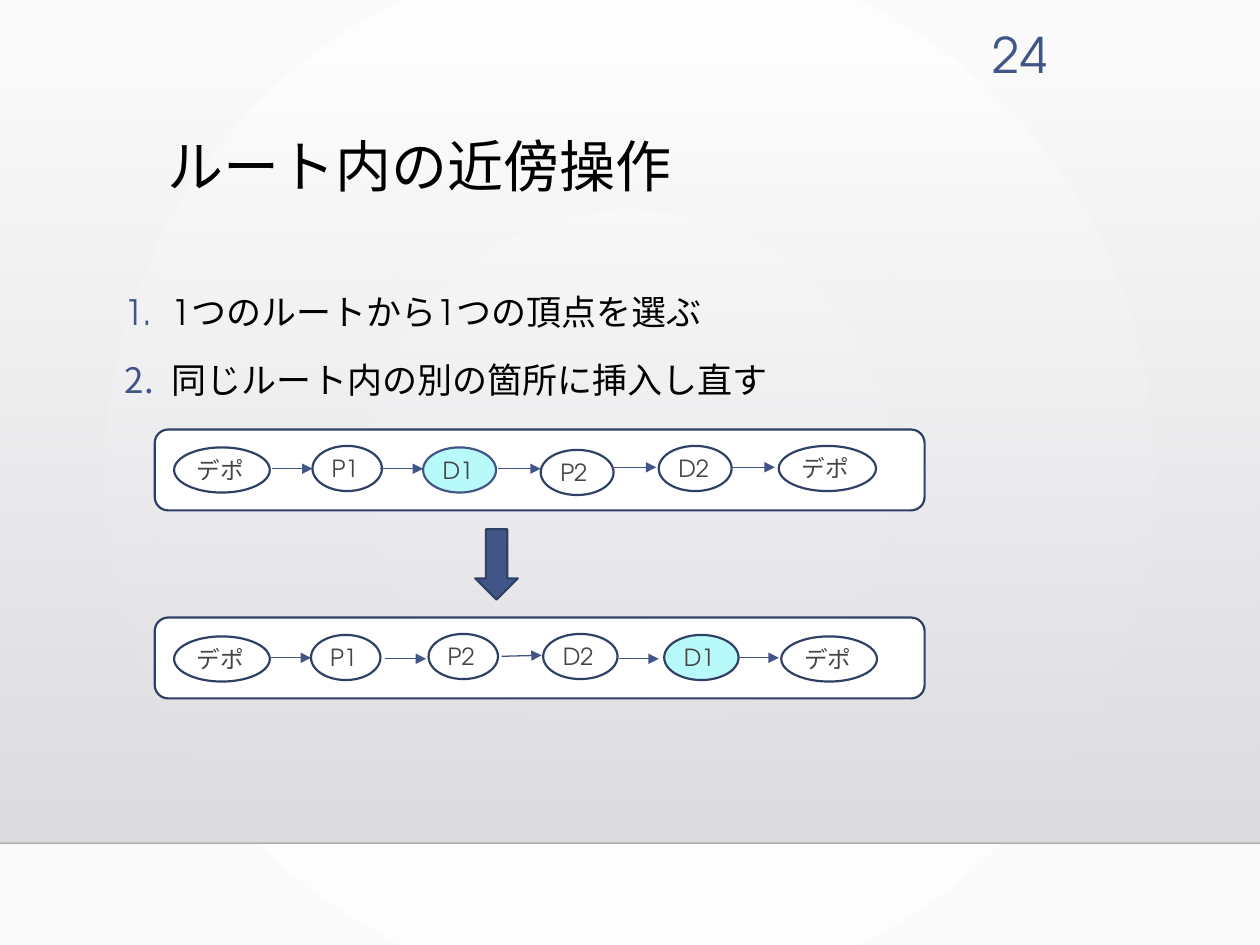
from dataclasses import dataclass

from lxml.etree import SubElement
from pptx import Presentation
from pptx.dml.color import RGBColor
from pptx.enum.shapes import MSO_CONNECTOR as Connector, MSO_SHAPE as Shape
from pptx.enum.text import MSO_ANCHOR as Anchor, MSO_AUTO_SIZE as AutoSize, PP_ALIGN as Align
from pptx.oxml.ns import qn
from pptx.util import Cm, Pt

FONT = "TeX Gyre Adventor"
COLORS = {
    "black": "000000",
    "text": "454545",
    "accent": "415588",
    "outline": "303F65",
    "white": "FFFFFF",
    "moved": "B8FAFA",
    "back_edge": "FAFAFA",
    "band_top": "DCDCE0",
    "band_bottom": "DEDEE2",
    "rule": "000001",
}
NODE_HEIGHT = 0.91


@dataclass
class Node:
    label: str
    left: float
    top: float
    width: float
    fill: str = "white"
    outline: str = "outline"


@dataclass
class Arrow:
    start: float
    end: float
    start_y: float
    end_y: float


@dataclass
class Route:
    top: float
    nodes: list[Node]
    arrows: list[Arrow]


ROUTES = [
    Route(
        8.66,
        [
            Node("デポ", 3.51, 9.02, 1.93),
            Node("P1", 6.3, 8.99, 1.4),
            Node("D1", 8.53, 9.02, 1.47, "moved", "accent"),
            Node("P2", 10.9, 9.07, 1.47),
            Node("D2", 13.28, 8.99, 1.47),
            Node("デポ", 15.7, 8.99, 1.96),
        ],
        [
            Arrow(5.49, 6.3, 9.45, 9.45),
            Arrow(7.67, 8.53, 9.45, 9.45),
            Arrow(10.03, 10.9, 9.45, 9.45),
            Arrow(12.34, 13.23, 9.42, 9.42),
            Arrow(14.73, 15.62, 9.42, 9.42),
        ],
    ),
    Route(
        12.45,
        [
            Node("デポ", 3.51, 12.83, 1.93),
            Node("P1", 6.27, 12.8, 1.4),
            Node("P2", 8.64, 12.78, 1.4),
            Node("D2", 10.95, 12.78, 1.5),
            Node("D1", 13.39, 12.8, 1.5, "moved"),
            Node("デポ", 15.75, 12.83, 1.93),
        ],
        [
            Arrow(5.46, 6.27, 13.26, 13.26),
            Arrow(7.77, 8.59, 13.28, 13.28),
            Arrow(10.11, 10.92, 13.23, 13.21),
            Arrow(12.47, 13.28, 13.28, 13.28),
            Arrow(14.88, 15.7, 13.26, 13.26),
        ],
    ),
]


def color(name: str) -> RGBColor:
    return RGBColor.from_string(COLORS[name])


def place(box, left: float, top: float, width: float, height: float) -> None:
    box.left, box.top, box.width, box.height = Cm(left), Cm(top), Cm(width), Cm(height)


def format_runs(para, size: float, name: str) -> None:
    for span in para.runs:
        span.font.name = FONT
        span.font.size = Pt(size)
        span.font.color.rgb = color(name)


def set_alpha(parent, percent: int) -> None:
    tint = next(parent.iter(qn("a:srgbClr")))
    SubElement(tint, qn("a:alpha")).set("val", str(percent * 1000))


def set_gradient(fill, first: str, last: str) -> None:
    fill.gradient()
    for stop, name in zip(fill.gradient_stops, (first, last)):
        stop.color.rgb = color(name)
    fill.gradient_stops[0].position = 0
    fill.gradient_stops[1].position = 1


def add_box(page, kind, left: float, top: float, width: float, height: float,
            fill: str, outline: str = "outline"):
    box = page.shapes.add_shape(kind, Cm(left), Cm(top), Cm(width), Cm(height))
    box.shadow.inherit = False
    box.fill.solid()
    box.fill.fore_color.rgb = color(fill)
    box.line.color.rgb = color(outline)
    box.line.width = Pt(1.25)
    return box


def add_line(page, arrow: Arrow, name: str, width: float):
    line = page.shapes.add_connector(Connector.STRAIGHT, Cm(arrow.start), Cm(arrow.start_y),
                                     Cm(arrow.end), Cm(arrow.end_y))
    line.line.color.rgb = color(name)
    line.line.width = Pt(width)
    SubElement(line.element.spPr, qn("a:effectLst"))
    return line


def add_node(page, node: Node) -> None:
    box = add_box(page, Shape.OVAL, node.left, node.top, node.width, NODE_HEIGHT,
                  node.fill, node.outline)
    frame = box.text_frame
    frame.text = node.label
    frame.vertical_anchor = Anchor.MIDDLE
    frame.margin_left = frame.margin_right = Cm(0.18)
    frame.margin_top = frame.margin_bottom = Cm(0.1)
    para = frame.paragraphs[0]
    para.alignment = Align.LEFT
    format_runs(para, 13.5, "text")


def add_route(page, route: Route) -> None:
    add_box(page, Shape.ROUNDED_RECTANGLE, 3.12, route.top, 15.52, 1.63, "white")
    for node in route.nodes:
        add_node(page, node)
    for arrow in route.arrows:
        line = add_line(page, arrow, "accent", 0.75)
        SubElement(line.line._get_or_add_ln(), qn("a:tailEnd")).set("type", "triangle")


def add_backdrop(page) -> None:
    # Radial page background
    set_gradient(page.background.fill, "white", "back_edge")
    linear = next(page.element.iter(qn("a:lin")))
    gradient = linear.getparent()
    gradient.remove(linear)
    radial = SubElement(gradient, qn("a:path"))
    radial.set("path", "circle")
    center = SubElement(radial, qn("a:fillToRect"))
    for side in "ltrb":
        center.set(side, "50000")
    # Fading band and the rule below it
    band = add_box(page, Shape.RECTANGLE, 0, 1.3, 25.4, 15.7, "white")
    band.line.fill.background()
    set_gradient(band.fill, "band_top", "band_bottom")
    band.fill.gradient_angle = 270
    set_alpha(band.element.spPr, 0)
    rule = add_line(page, Arrow(0, 25.4, 17, 17), "rule", 1)
    set_alpha(rule.element.spPr, 20)
    for index, part in enumerate((band, rule), 2):
        page.shapes.element.insert(index, part.element)


def number_para(para) -> None:
    props = para._p.get_or_add_pPr()
    props.set("marL", str(Cm(0.95)))
    props.set("indent", str(Cm(-0.95)))
    tint = SubElement(SubElement(props, qn("a:buClr")), qn("a:srgbClr"))
    tint.set("val", COLORS["accent"])
    SubElement(props, qn("a:buFont")).set("typeface", "+mj-lt")
    SubElement(props, qn("a:buAutoNum")).set("type", "arabicPeriod")


def add_texts(page) -> None:
    # Title
    title = page.shapes.title
    place(title, 3.12, 2.67, 18.26, 2.92)
    title.text_frame.text = "ルート内の近傍操作"
    title.text_frame.vertical_anchor = Anchor.TOP
    heading = title.text_frame.paragraphs[0]
    heading.alignment = Align.LEFT
    heading.line_spacing = 0.9
    format_runs(heading, 32, "black")
    # Numbered steps
    body = page.placeholders[1]
    place(body, 2.26, 5.56, 20.02, 6.86)
    body.text_frame.text = "1つのルートから1つの頂点を選ぶ\n同じルート内の別の箇所に挿入し直す"
    body.text_frame.auto_size = AutoSize.NONE
    for para in body.text_frame.paragraphs:
        para.line_spacing = 1.2
        para.space_before = Pt(10)
        number_para(para)
        format_runs(para, 20, "black")
    # Page number
    number = page.shapes.add_textbox(Cm(19.15), Cm(0.36), Cm(2.21), Cm(1.4))
    number.text_frame.word_wrap = True
    number.text_frame.text = "24"
    para = number.text_frame.paragraphs[0]
    para.alignment = Align.RIGHT
    format_runs(para, 28, "accent")


def main() -> None:
    deck = Presentation()
    deck.slide_width, deck.slide_height = Cm(25.4), Cm(19.05)
    page = deck.slides.add_slide(deck.slide_layouts[1])
    add_backdrop(page)
    add_texts(page)
    # Route before and after the move
    before, after = ROUTES
    add_route(page, before)
    add_box(page, Shape.DOWN_ARROW, 9.58, 10.67, 0.86, 1.42, "accent")
    add_route(page, after)
    deck.save("out.pptx")


if __name__ == "__main__":
    main()
